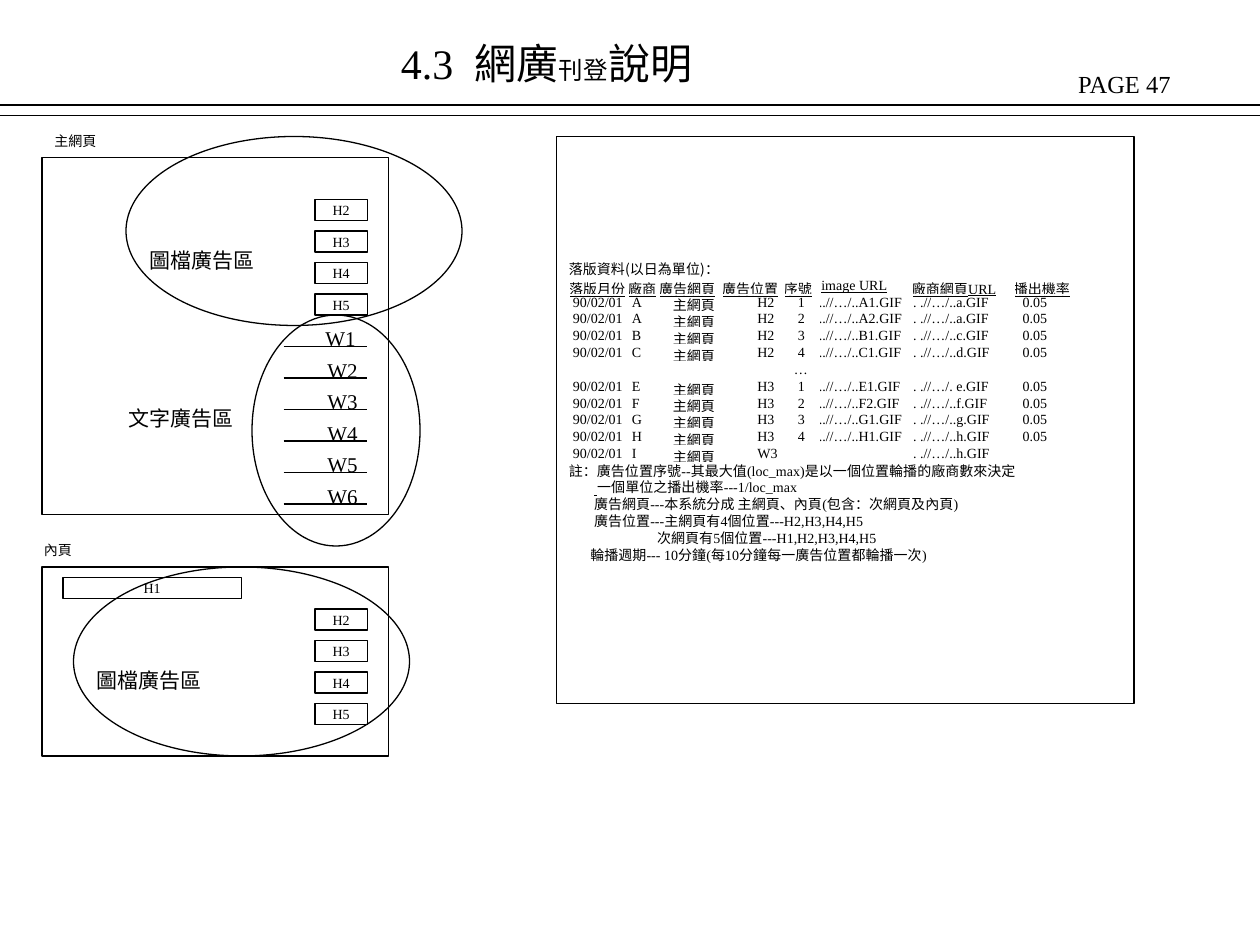
import pptx
import pptx.util
import pptx.dml.color
import pptx.enum.shapes
import pptx.enum.text
import pptx.oxml.ns
import lxml.etree

INK = {"line": "000000", "text": "000000"}
SERIF = "Times New Roman"
SANS = "Noto Sans CJK TC"
KIND = pptx.enum.shapes.MSO_SHAPE
ALIGN = pptx.enum.text.PP_ALIGN
MID = pptx.enum.text.MSO_ANCHOR.MIDDLE
MORE = "…"
PITCH = 1.6  # height of one line of small text, in grid rows

# Column widths in grid columns; left pads in inches
WIDTHS = [5.62, 2.95, 6, 5.9, 3.33, 8.86, 9.71, 6.1]
HEAD_PADS = [0, 0, 0, 0, 0, 0.02, 0, 0]
ROW_PADS = [0.03, 0.03, 0.11, 0.28, 0.11, 0, 0.01, 0.07]

HEADS = ["落版月份", "廠商", "廣告網頁", "廣告位置", "序號",
         "image URL", "廠商網頁URL", "播出機率"]
# Vendor, slot, order, image file, page file, rate
ADS = [
    ("A", "H2", "1", "..//…/..A1.GIF", ". .//…/..a.GIF", "0.05"),
    ("A", "H2", "2", "..//…/..A2.GIF", ". .//…/..a.GIF", "0.05"),
    ("B", "H2", "3", "..//…/..B1.GIF", ". .//…/..c.GIF", "0.05"),
    ("C", "H2", "4", "..//…/..C1.GIF", ". .//…/..d.GIF", "0.05"),
    MORE,
    ("E", "H3", "1", "..//…/..E1.GIF", ". .//…/. e.GIF", "0.05"),
    ("F", "H3", "2", "..//…/..F2.GIF", ". .//…/..f.GIF", "0.05"),
    ("G", "H3", "3", "..//…/..G1.GIF", ". .//…/..g.GIF", "0.05"),
    ("H", "H3", "4", "..//…/..H1.GIF", ". .//…/..h.GIF", "0.05"),
    ("I", "W3", "", "", ". .//…/..h.GIF", ""),
]
# Left indent in inches, text
NOTES = [
    (0, "註：廣告位置序號--其最大值(loc_max)是以一個位置輪播的廠商數來決定"),
    (0.2, " ", "一個單位之播出機率---1/loc_max"),
    (0.2, "廣告網頁---本系統分成 主網頁、內頁(包含：次網頁及內頁)"),
    (0.2, "廣告位置---主網頁有4個位置---H2,H3,H4,H5"),
    (0.7, "次網頁有5個位置---H1,H2,H3,H4,H5"),
    (0.17, "輪播週期--- 10分鐘(每10分鐘每一廣告位置都輪播一次)"),
]


def cell(count):
    """The slide is a grid of 120 columns and 90 rows, 12 to the inch."""
    return pptx.util.Inches(count / 12)


def tint(name):
    return pptx.dml.color.RGBColor.from_string(INK[name])


def add_run(para, text, size, face=SERIF, under=None, space=0):
    run = para.add_run()
    run.text = text
    font = run.font
    font.size = pptx.util.Pt(size)
    font.name = face
    font.underline = under
    font.color.rgb = tint("text")
    if space:
        font._element.set("spc", str(space))
    east = lxml.etree.SubElement(font._element, pptx.oxml.ns.qn("a:ea"))
    east.set("typeface", SANS)


def add_shape(slide, kind, left, top, width, height):
    shape = slide.shapes.add_shape(
        kind, cell(left), cell(top), cell(width), cell(height))
    shape.shadow.inherit = False
    shape.fill.background()
    shape.line.color.rgb = tint("line")
    shape.line.width = pptx.util.Pt(0.75)
    return shape


def add_slot(slide, name, left, top, width=5):
    frame = add_shape(slide, KIND.RECTANGLE, left, top, width, 2).text_frame
    frame.word_wrap = False
    frame.vertical_anchor = MID
    para = frame.paragraphs[0]
    para.alignment = ALIGN.CENTER
    add_run(para, name, 8)


def add_slots(slide, top):
    for step in range(4):
        add_slot(slide, f"H{step + 2}", 30, top + 3 * step)


def add_label(slide, left, top, width, height, *runs, wrap=False):
    box = slide.shapes.add_textbox(
        cell(left), cell(top), cell(width), cell(height))
    box.text_frame.word_wrap = wrap
    para = box.text_frame.paragraphs[0]
    for text, size, *space in runs:
        add_run(para, text, size, space=sum(space))


def add_rule(slide, left, right, row):
    rule = slide.shapes.add_connector(
        pptx.enum.shapes.MSO_CONNECTOR.STRAIGHT,
        cell(left), cell(row), cell(right), cell(row))
    rule.line.color.rgb = tint("line")
    rule.line.width = pptx.util.Pt(0.75)
    lxml.etree.SubElement(
        rule._element.spPr, pptx.oxml.ns.qn("a:effectLst"))


def add_panel(slide):
    """Frame with a title line, room for the table, then the notes."""
    frame = add_shape(slide, KIND.RECTANGLE, 53, 13, 55, 54).text_frame
    frame.word_wrap = True
    frame.vertical_anchor = MID
    frame.margin_bottom = pptx.util.Inches(0.18)
    para = frame.paragraphs[0]
    para.alignment = ALIGN.LEFT
    add_run(para, "落版資料(以日為單位)：", 8, SANS)
    for order, (left, *parts) in enumerate(NOTES):
        para = frame.add_paragraph()
        para.alignment = ALIGN.LEFT
        para._p.get_or_add_pPr().set("marL", str(pptx.util.Inches(left)))
        if order == 0:
            para.space_before = pptx.util.Pt(6 * PITCH * (len(ADS) + 1))
        for part in parts:
            add_run(para, part, 8, under=(part == " ") or None)


def fill_cell(box, text, pad, under):
    box.fill.background()
    box.margin_left = pptx.util.Inches(pad)
    box.margin_right = box.margin_top = box.margin_bottom = 0
    para = box.text_frame.paragraphs[0]
    if text:
        add_run(para, text, 8, under=under)
    else:
        end = lxml.etree.SubElement(
            para._p, pptx.oxml.ns.qn("a:endParaRPr"))
        end.set("sz", "800")


def add_plan(slide):
    rows = [HEADS]
    for item in ADS:
        if item == MORE:
            rows.append([""] * 4 + [MORE] + [""] * 3)
        else:
            rows.append(["90/02/01", item[0], "主網頁", *item[1:]])
    table = slide.shapes.add_table(
        len(rows), len(HEADS), cell(54.2), cell(26.45),
        cell(sum(WIDTHS)), cell(PITCH * len(rows))).table
    table.first_row = table.horz_banding = False
    for col, width in zip(table.columns, WIDTHS):
        col.width = cell(width)
    for index, row in enumerate(rows):
        table.rows[index].height = cell(PITCH)
        head = index == 0
        pads = HEAD_PADS if head else ROW_PADS
        for place, (text, pad) in enumerate(zip(row, pads)):
            if text == MORE:
                pad = 0.08
            fill_cell(table.cell(index, place), text, pad, head or None)


def main():
    deck = pptx.Presentation()
    deck.slide_width = cell(120)
    deck.slide_height = cell(90)
    slide = deck.slides.add_slide(deck.slide_layouts[6])

    # Header
    add_label(slide, 101.5, 6, 18.8, 4, ("PAGE 47", 14))
    add_label(slide, 37, 3, 50, 6, ("4.3", 24), (" ", 24, 630),
              ("網廣", 24), ("刊登", 14), ("說明", 24), wrap=True)
    for row in (10, 11):
        add_rule(slide, 0, 120, row)

    # Schedule panel
    add_panel(slide)
    add_plan(slide)

    # Main page
    add_label(slide, 4, 12, 6.4, 2.9, ("主網頁", 8))
    add_shape(slide, KIND.RECTANGLE, 4, 15, 33, 34)
    add_slots(slide, 19)
    for step in range(6):
        add_rule(slide, 27, 35, 33 + 3 * step)
        add_label(slide, 30 if step else 29.8, 30.45 + 3 * step, 5.3, 3.6,
                  (f"W{step + 1}", 12))
    add_shape(slide, KIND.OVAL, 12, 13, 32, 18)
    add_shape(slide, KIND.OVAL, 24, 30, 16, 22)
    add_label(slide, 13.05, 23, 12.4, 3.6, ("圖檔廣告區", 12))
    add_label(slide, 11.05, 38, 12.4, 3.6, ("文字廣告區", 12))

    # Inner page
    add_label(slide, 3, 51, 6, 2.9, ("內頁", 8))
    add_shape(slide, KIND.RECTANGLE, 4, 54, 33, 18)
    add_slot(slide, "H1", 6, 55, 17)
    add_slots(slide, 58)
    add_shape(slide, KIND.OVAL, 7, 54, 32, 18)
    add_label(slide, 8, 63, 12.4, 3.6, ("圖檔廣告區", 12))

    deck.save("out.pptx")


if __name__ == "__main__":
    main()
